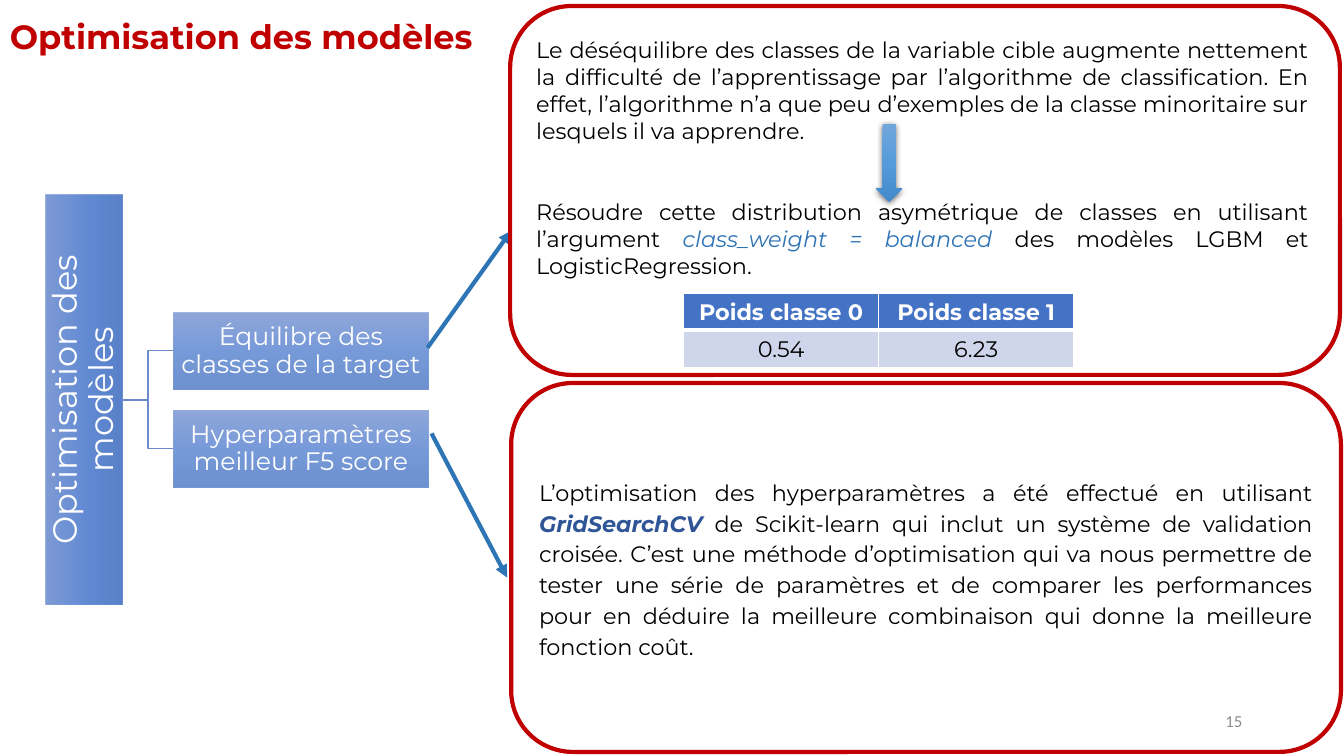
from lxml import etree
from pptx import Presentation
from pptx.dml.color import RGBColor
from pptx.enum.shapes import MSO_CONNECTOR as Connector, MSO_SHAPE as Shape
from pptx.enum.text import MSO_ANCHOR as Anchor, PP_ALIGN as Align
from pptx.oxml.ns import qn
from pptx.util import Pt

SCALE = 9144
COLORS = {
    "red": "C00000", "black": "000000", "white": "FFFFFF", "grey": "8C8C8C",
    "bracket": "6D89CB", "arrow": "2E75B6", "argument": "2E74B5",
    "tool": "2F5597", "header": "4472C4", "cell": "CFD5EA",
}
NODE_GRADIENT = ["6183CB", "3E70CA", "3062BB"]
ARROW_GRADIENT = ["71A6DB", "559BDB", "448ACA"]


def px(*lengths):
    return [length * SCALE for length in lengths]


def rgb(name):
    return RGBColor.from_string(COLORS[name])


def child(parent, tag, **attributes):
    element = etree.SubElement(parent, qn(tag))
    for name, value in attributes.items():
        element.set(name, str(value))
    return element


class SlideBuilder:
    font = "Montserrat"

    def __init__(self, presentation):
        self.slide = presentation.slides.add_slide(presentation.slide_layouts[6])

    def style_run(self, run, size, color, bold=False, italic=False, font=None):
        run.font.name = font or self.font
        run.font.size = Pt(size)
        run.font.bold = bold
        run.font.italic = italic
        run.font.color.rgb = rgb(color)

    def fill_paragraph(self, paragraph, parts, size, align, color="black", **style):
        paragraph.alignment = align
        for text, changes in parts:
            run = paragraph.add_run()
            run.text = text
            self.style_run(run, size, **{"color": color, **style, **changes})

    def text(self, box, paragraphs, size, align=Align.LEFT, anchor=Anchor.TOP, **style):
        shape = self.slide.shapes.add_textbox(*px(*box))
        frame = shape.text_frame
        frame.word_wrap = True
        frame.vertical_anchor = anchor
        for index, parts in enumerate(paragraphs):
            paragraph = frame.add_paragraph() if index else frame.paragraphs[0]
            self.fill_paragraph(paragraph, parts, size, align, **style)
        return frame

    def shape(self, kind, box):
        shape = self.slide.shapes.add_shape(kind, *px(*box))
        shape.shadow.inherit = False
        shape.text_frame.word_wrap = True
        shape.text_frame.vertical_anchor = Anchor.MIDDLE
        return shape

    def gradient(self, shape, colors, opacity=100):
        shape.line.fill.background()
        shape.fill.gradient()
        shape.fill.gradient_angle = 270
        stops = shape.element.spPr.find(".//" + qn("a:gsLst"))
        for stop in list(stops):
            stops.remove(stop)
        for index, color in enumerate(colors):
            stop = child(stops, "a:gs", pos=index * 50000)
            fill = child(stop, "a:srgbClr", val=color)
            if opacity < 100:
                child(fill, "a:alpha", val=opacity * 1000)

    def node(self, box, text, size, opacity, inset, rotation=0):
        shape = self.shape(Shape.RECTANGLE, box)
        shape.rotation = rotation
        self.gradient(shape, NODE_GRADIENT, opacity)
        frame = shape.text_frame
        frame.margin_left, frame.margin_right, frame.margin_top, frame.margin_bottom = px(*[inset] * 4)
        paragraph = frame.paragraphs[0]
        self.fill_paragraph(paragraph, [(text, {})], size, Align.CENTER, "white")
        paragraph.line_spacing = 0.9

    def bracket(self, start, elbow_x, end):
        builder = self.slide.shapes.build_freeform(*start, scale=SCALE)
        builder.add_line_segments([(elbow_x, start[1]), (elbow_x, end[1]), end], close=False)
        shape = builder.convert_to_shape()
        shape.shadow.inherit = False
        shape.fill.background()
        shape.line.color.rgb = rgb("bracket")
        shape.line.width = Pt(1)

    def panel(self, box):
        shape = self.shape(Shape.ROUNDED_RECTANGLE, box)
        shape.fill.background()
        shape.line.color.rgb = rgb("red")
        shape.line.width = Pt(3)
        return shape.text_frame

    def connector(self, start, end):
        connector = self.slide.shapes.add_connector(Connector.STRAIGHT, *px(*start, *end))
        connector.line.color.rgb = rgb("arrow")
        connector.line.width = Pt(3)
        properties = connector.element.spPr
        child(properties.find(qn("a:ln")), "a:tailEnd", type="triangle")
        child(properties, "a:effectLst")

    def down_arrow(self, box):
        shape = self.shape(Shape.DOWN_ARROW, box)
        self.gradient(shape, ARROW_GRADIENT)
        effects = shape.element.spPr.find(qn("a:effectLst"))
        shadow = child(effects, "a:outerShdw", blurRad=Pt(4.5), dist=Pt(1.5), dir=5400000, rotWithShape=0)
        child(child(shadow, "a:srgbClr", val=COLORS["black"]), "a:alpha", val=63000)

    def border(self, cell, widths):
        properties = cell._tc.get_or_add_tcPr()
        for side, width in zip("LRTB", widths):
            line = child(properties, f"a:ln{side}", w=Pt(width))
            child(child(line, "a:solidFill"), "a:srgbClr", val=COLORS["white"])

    def table(self, box, rows):
        table = self.slide.shapes.add_table(len(rows), len(rows[0]), *px(*box)).table
        for row_index, row in enumerate(rows):
            header = row_index == 0
            for column_index, text in enumerate(row):
                cell = table.cell(row_index, column_index)
                self.border(cell, (1, 1, 1, 3) if header else (1, 1, 3, 1))
                cell.fill.solid()
                cell.fill.fore_color.rgb = rgb("header" if header else "cell")
                self.fill_paragraph(cell.text_frame.paragraphs[0], [(text, {})], 16, Align.CENTER,
                                    "white" if header else "black", bold=header)


def main():
    presentation = Presentation()
    presentation.slide_width, presentation.slide_height = px(1333, 750)
    builder = SlideBuilder(presentation)

    branches = ["Équilibre des classes de la target", "Hyperparamètres meilleur F5 score"]
    branch_left, branch_top, branch_height, branch_step = 172, 310, 77, 97
    for index, text in enumerate(branches):
        top = branch_top + index * branch_step
        builder.bracket((122, 397), 147, (branch_left, top + branch_height // 2))
        builder.node((branch_left, top, 253, branch_height), text, 18, 70, 1)
    builder.node((-120, 358, 407, 77), "Optimisation des modèles", 24, 80, 2, rotation=270)

    builder.text((0, 11, 603, 50), [[("Optimisation des modèles", {})]], 24, color="red", bold=True)
    builder.table((678, 291, 387, 73), [["Poids classe 0", "Poids classe 1"], ["0.54", "6.23"]])

    search = builder.panel((507, 380, 823, 366)).paragraphs[0]
    builder.fill_paragraph(search, [
        ("L’optimisation des hyperparamètres a été effectué en utilisant ", {}),
        ("GridSearchCV", {"color": "tool", "bold": True, "italic": True}),
        (" de Scikit-learn qui inclut un système de validation croisée. C’est une méthode "
         "d’optimisation qui va nous permettre de tester une série de paramètres et de comparer "
         "les performances pour en déduire la meilleure combinaison qui donne la meilleure "
         "fonction coût.", {}),
    ], 16, Align.JUSTIFY)
    search.line_spacing = 1.15
    search.space_after = Pt(8)

    builder.connector((424, 345), (507, 229))
    builder.connector((428, 430), (503, 573))

    builder.panel((506, 6, 823, 366))
    balance = builder.text((522, 31, 786, 252), [
        [("Le déséquilibre des classes de la variable cible augmente nettement la difficulté de "
          "l’apprentissage par l’algorithme de classification. En effet, l’algorithme n’a que peu "
          "d’exemples de la classe minoritaire sur lesquels il va apprendre.", {})],
        [("Résoudre cette distribution asymétrique de classes en utilisant l’argument ", {}),
         ("class_weight = balanced ", {"color": "argument", "italic": True}),
         ("des modèles LGBM et LogisticRegression.", {})],
    ], 16, Align.JUSTIFY)
    balance.paragraphs[1].space_before = Pt(39)
    builder.down_arrow((869, 123, 26, 77))

    builder.text((942, 695, 300, 40), [[("15", {})]], 12, Align.RIGHT, Anchor.MIDDLE,
                 color="grey", font="Calibri")
    presentation.save("out.pptx")


if __name__ == "__main__":
    main()
